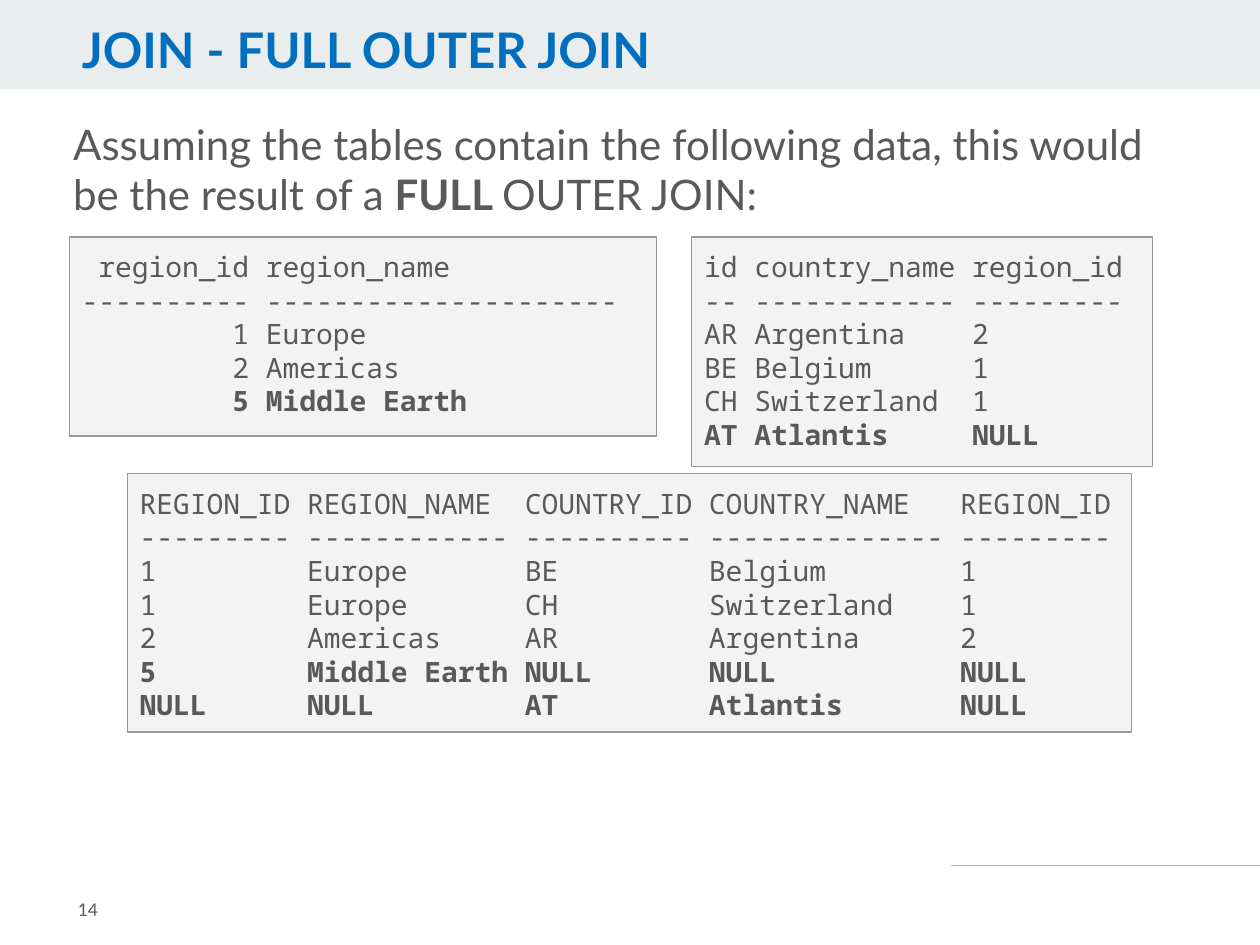
import pptx
import pptx.util
import pptx.dml.color
import pptx.enum.shapes
import pptx.enum.text
import pptx.oxml.ns
import lxml.etree
from dataclasses import dataclass

Inches = pptx.util.Inches
Pt = pptx.util.Pt


@dataclass(frozen=True)
class Theme:
    text_font: str = "Lato"
    code_font: str = "Noto Sans Mono"
    title_color: str = "006FBF"
    text_color: str = "595959"
    band_fill: str = "E9EDEE"
    panel_fill: str = "F3F3F3"
    panel_line: str = "999999"
    rule_color: str = "B7B7B7"
    title_size: float = 28
    body_size: float = 24
    code_size: float = 16
    code_spacing: float = 19.2
    number_size: float = 10
    line_width: float = 0.75


THEME = Theme()

TITLE = "JOIN - FULL OUTER JOIN"
INTRO = [
    ("Assuming the tables contain the following data, this would be the result of a ", False),
    ("FULL ", True),
    ("OUTER JOIN:", False),
]
PAGE_NUMBER = "14"

PANELS = [
    {
        "box": (0.55, 1.88, 4.66, 1.58),
        "bold_rows": 1,
        "lines": [
            " region_id region_name",
            "---------- ---------------------",
            "         1 Europe",
            "         2 Americas",
            "         5 Middle Earth",
        ],
    },
    {
        "box": (5.49, 1.88, 3.66, 1.82),
        "bold_rows": 1,
        "lines": [
            "id country_name region_id",
            "-- ------------ ---------",
            "AR Argentina    2",
            "BE Belgium      1",
            "CH Switzerland  1",
            "AT Atlantis     NULL",
        ],
    },
    {
        "box": (1.01, 3.76, 7.97, 2.05),
        "bold_rows": 2,
        "lines": [
            "REGION_ID REGION_NAME  COUNTRY_ID COUNTRY_NAME   REGION_ID",
            "--------- ------------ ---------- -------------- ---------",
            "1         Europe       BE         Belgium        1",
            "1         Europe       CH         Switzerland    1",
            "2         Americas     AR         Argentina      2",
            "5         Middle Earth NULL       NULL           NULL",
            "NULL      NULL         AT         Atlantis       NULL",
        ],
    },
]


def rgb(value):
    return pptx.dml.color.RGBColor.from_string(value)


def style_font(font, name, size, color, bold=False):
    font.name = name
    font.size = Pt(size)
    font.color.rgb = rgb(color)
    font.bold = bold


def place(shape, box):
    shape.left, shape.top, shape.width, shape.height = map(Inches, box)


def set_frame(text_frame, vertical_inset, anchor=pptx.enum.text.MSO_ANCHOR.TOP, wrap=True):
    text_frame.margin_left = text_frame.margin_right = Inches(0.1)
    text_frame.margin_top = text_frame.margin_bottom = Inches(vertical_inset)
    text_frame.vertical_anchor = anchor
    text_frame.auto_size = pptx.enum.text.MSO_AUTO_SIZE.NONE
    text_frame.word_wrap = wrap


def add_rectangle(slide, box, fill):
    shape = slide.shapes.add_shape(pptx.enum.shapes.MSO_SHAPE.RECTANGLE, *map(Inches, box))
    shape.shadow.inherit = False
    shape.fill.solid()
    shape.fill.fore_color.rgb = rgb(fill)
    shape.line.fill.background()
    return shape


def send_to_back(shape):
    shape.element.getparent().insert(2, shape.element)


def add_background(slide):
    rule = slide.shapes.add_connector(
        pptx.enum.shapes.MSO_CONNECTOR.STRAIGHT, *map(Inches, (7.55, 6.87, 10, 6.87)))
    rule.line.color.rgb = rgb(THEME.rule_color)
    rule.line.width = Pt(THEME.line_width)
    lxml.etree.SubElement(rule.element.spPr, pptx.oxml.ns.qn("a:effectLst"))
    band = add_rectangle(slide, (0, 0, 10, 0.71), THEME.band_fill)
    send_to_back(band)
    send_to_back(rule)


def fill_title(title):
    place(title, (0.55, 0.16, 7.88, 0.55))
    title.text_frame.text = TITLE
    set_frame(title.text_frame, 0.05)
    paragraph = title.text_frame.paragraphs[0]
    paragraph.alignment = pptx.enum.text.PP_ALIGN.LEFT
    paragraph.line_spacing = 0.9
    style_font(paragraph.runs[0].font, THEME.text_font, THEME.title_size, THEME.title_color, True)


def fill_intro(body):
    place(body, (0.48, 0.89, 9.11, 0.99))
    set_frame(body.text_frame, 0.05)
    paragraph = body.text_frame.paragraphs[0]
    properties = paragraph._p.get_or_add_pPr()
    properties.set("marL", "0")
    properties.set("indent", "0")
    lxml.etree.SubElement(properties, pptx.oxml.ns.qn("a:buNone"))
    paragraph.space_before = Pt(0)
    for text, bold in INTRO:
        run = paragraph.add_run()
        run.text = text
        style_font(run.font, THEME.text_font, THEME.body_size, THEME.text_color, bold)


def add_panel(slide, panel):
    shape = add_rectangle(slide, panel["box"], THEME.panel_fill)
    shape.line.color.rgb = rgb(THEME.panel_line)
    shape.line.width = Pt(THEME.line_width)
    set_frame(shape.text_frame, 0.1, wrap=False)
    shape.text_frame.text = "\n".join(panel["lines"])
    first_bold = len(panel["lines"]) - panel["bold_rows"]
    for row, paragraph in enumerate(shape.text_frame.paragraphs):
        paragraph.alignment = pptx.enum.text.PP_ALIGN.LEFT
        paragraph.line_spacing = Pt(THEME.code_spacing)
        style_font(paragraph.runs[0].font, THEME.code_font, THEME.code_size,
                   THEME.text_color, row >= first_bold)


def add_page_number(slide):
    box = slide.shapes.add_textbox(*map(Inches, (0.52, 6.93, 1.23, 0.57)))
    set_frame(box.text_frame, 0.1, pptx.enum.text.MSO_ANCHOR.MIDDLE)
    box.text_frame.text = PAGE_NUMBER
    style_font(box.text_frame.paragraphs[0].runs[0].font, THEME.text_font,
               THEME.number_size, THEME.text_color)


def main():
    presentation = pptx.Presentation()
    presentation.slide_width = Inches(10)
    presentation.slide_height = Inches(7.5)
    slide = presentation.slides.add_slide(presentation.slide_layouts[1])
    add_background(slide)
    fill_title(slide.shapes.title)
    fill_intro(slide.placeholders[1])
    add_page_number(slide)
    for panel in PANELS:
        add_panel(slide, panel)
    presentation.save("out.pptx")


if __name__ == "__main__":
    main()
